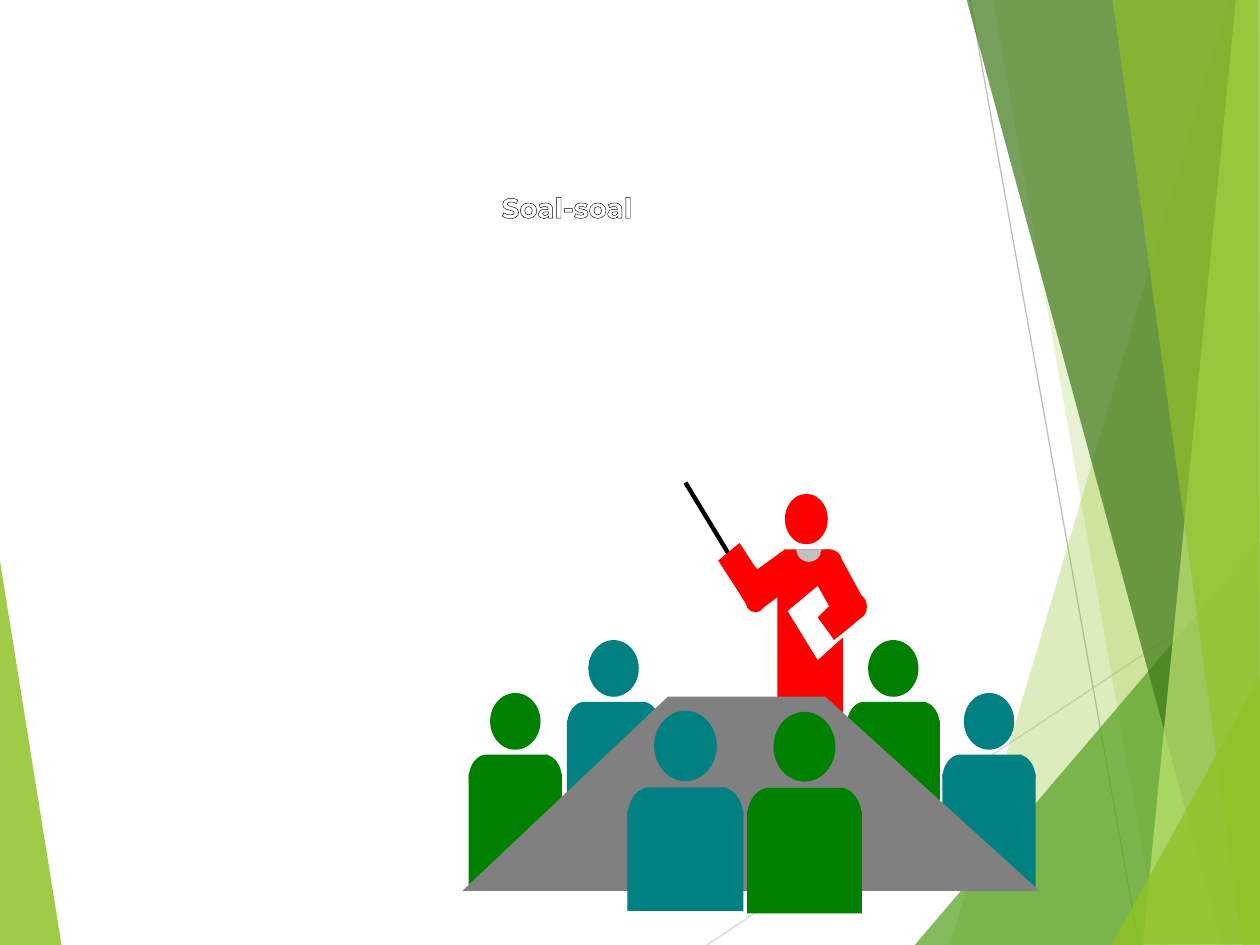
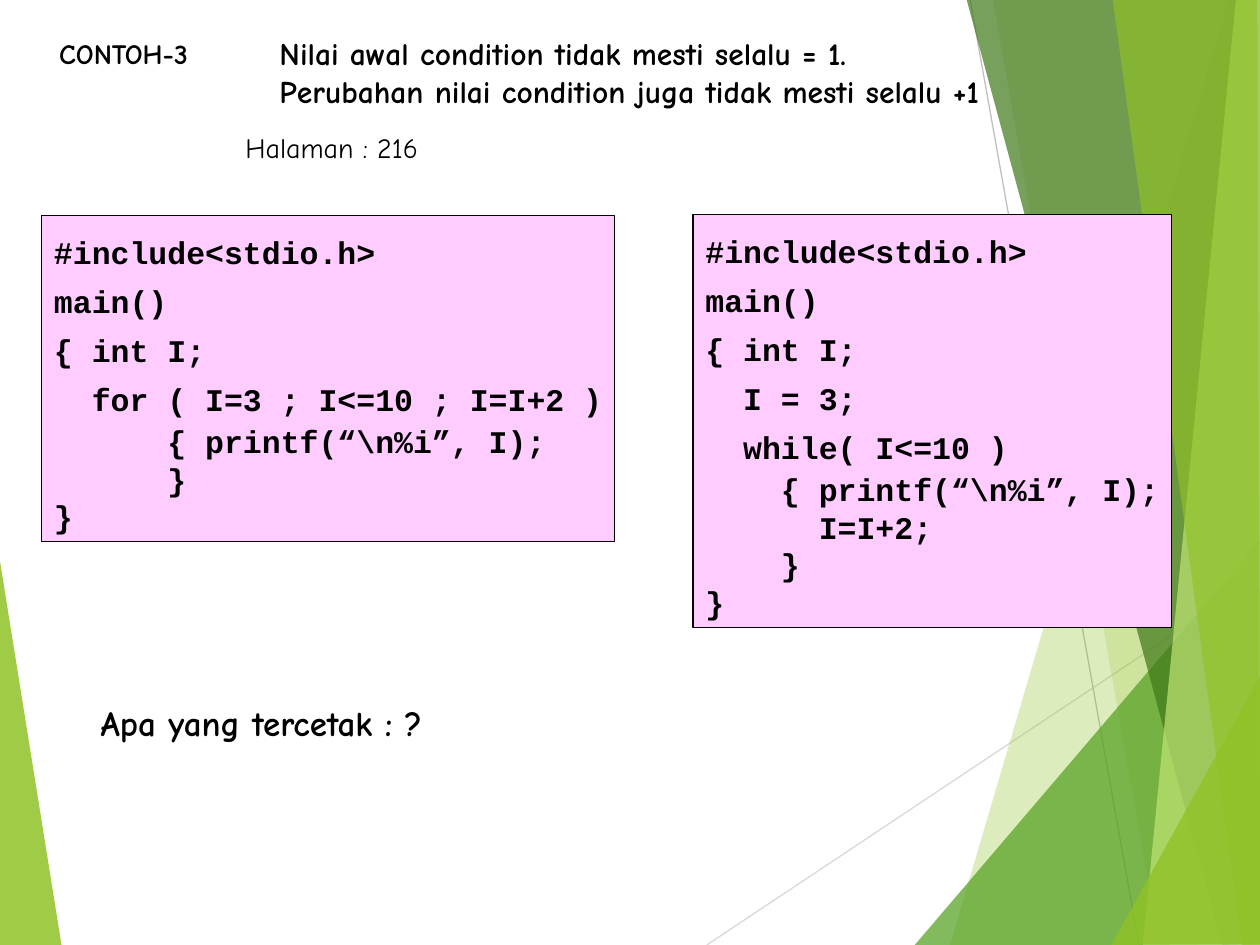
from math import cos, radians, sin

from lxml import etree
from pptx import Presentation
from pptx.dml.color import RGBColor
from pptx.enum.shapes import MSO_CONNECTOR, MSO_SHAPE
from pptx.enum.text import MSO_ANCHOR, MSO_AUTO_SIZE, PP_ALIGN
from pptx.oxml.ns import qn
from pptx.util import Inches, Pt

ELLIPSE, RECTANGLE = MSO_SHAPE.OVAL, MSO_SHAPE.RECTANGLE
STRAIGHT = MSO_CONNECTOR.STRAIGHT
TOP = MSO_ANCHOR.TOP
GROW, FIXED = MSO_AUTO_SIZE.SHAPE_TO_FIT_TEXT, MSO_AUTO_SIZE.NONE
LEFT, CENTER = PP_ALIGN.LEFT, PP_ALIGN.CENTER

COLORS = {
    "black": "000000", "white": "FFFFFF",
    "leaf": "90C226", "grass": "54A021", "forest": "3F7819", "lime": "C0E474",
    "pale_line": "D9D9D9", "mid_line": "BFBFBF",
    "red": "FF0000", "teal": "008080", "green": "008000",
    "table": "808080", "collar": "C0C0C0", "code": "FFCCFF",
}
PROSE_FONT, CODE_FONT, HEADING_FONT = "Comic Neue", "Courier New", "Montserrat"
CODE_SIZE = 18
CODE_CHAR = 0.6 * CODE_SIZE / 72  # width of one Courier character, inches
HAIRLINE = 0.74

# Facets of the backdrop, back to front: colour, opacity in percent, corners
EDGE_FACET = ("leaf", 85, [(-0.01, 4.39), (0.49, 7.51), (-0.01, 7.5)])
RIGHT_FACETS = [
    ("leaf", 30, [(9.75, 0), (7.54, 7.5), (10.02, 7.51), (10.01, 0.01)]),
    ("leaf", 20, [(7.88, -0.01), (9.2, 7.5), (10.01, 7.5), (10.01, -0.01)]),
    ("grass", 72, [(7.26, 7.5), (10, 4.29), (10.01, 7.5)]),
    ("forest", 70, [(7.67, -0.01), (9.7, 7.5), (10.01, 7.49), (10.01, -0.01)]),
    ("lime", 70, [(9.81, -0.01), (9.07, 7.5), (10.01, 7.5), (10, -0.01)]),
    ("leaf", 65, [(8.83, -0.01), (9.86, 7.5), (10, 7.5), (9.98, -0.01)]),
    ("leaf", 80, [(8.82, 7.5), (10.01, 5.35), (10.01, 7.49)]),
]

# Outline of the presenter's robe and arms, from the presenter's corner
ROBE = [
    (1.07, 0.53), (1.14, 0.53), (1.23, 0.59), (1.41, 0.92), (1.41, 1.06),
    (1.28, 1.17), (1.18, 1.25), (1.05, 1.07), (1.1, 1.02), (1.14, 0.98),
    (1.05, 0.82), (0.81, 1.02), (1.05, 1.41), (1.25, 1.23), (1.25, 1.88),
    (0.73, 1.88), (0.73, 0.91), (0.61, 1), (0.5, 1), (0.49, 0.98),
    (0.41, 0.85), (0.26, 0.62), (0.43, 0.48), (0.54, 0.65), (0.57, 0.69),
    (0.79, 0.53),
]

# Audience: colour, box. The first four sit behind the table.
FAR_SEATS = [
    ("teal", (7.48, 5.5, 0.74, 1.57)),
    ("green", (6.72, 5.08, 0.74, 1.56)),
    ("teal", (4.5, 5.08, 0.74, 1.56)),
    ("green", (3.72, 5.5, 0.74, 1.57)),
]
NEAR_SEATS = [
    ("green", (5.93, 5.65, 0.91, 1.6)),
    ("teal", (4.98, 5.64, 0.92, 1.59)),
]

# Code lines: indent in characters, text, line spacing
FOR_CODE = [
    (0, "#include<stdio.h>", 1.3),
    (0, "main()", 1.3),
    (0, "{ int I;", 1.3),
    (2, "for ( I=3 ; I<=10 ; I=I+2 )", 1.3),
    (6, "{ printf(“\\n%i”, I);", 1.1),
    (6, "}", 1.0),
    (0, "}", 1.0),
]
WHILE_CODE = FOR_CODE[:3] + [
    (2, "I = 3;", 1.3),
    (2, "while( I<=10 )", 1.3),
    (4, "{ printf(“\\n%i”, I);", 1.1),
    (6, "I=I+2;", 1.0),
    (4, "}", 1.0),
    (0, "}", 1.0),
]


def rgb(name):
    """Look up a palette colour."""
    return RGBColor.from_string(COLORS[name])


def paint(shape, color, opacity=100):
    """Give a shape a flat fill with no line or shadow."""
    shape.shadow.inherit = False
    shape.line.fill.background()
    shape.fill.solid()
    shape.fill.fore_color.rgb = rgb(color)
    if opacity < 100:
        tint = next(shape.element.iter(qn("a:srgbClr")))
        etree.SubElement(tint, qn("a:alpha"), val=str(opacity * 1000))


def preset(shapes, kind, box, color):
    """Add a flat preset shape in a box given in inches."""
    shape = shapes.add_shape(kind, *map(Inches, box))
    paint(shape, color)
    return shape


def polygon(shapes, corners, color, opacity=100, origin=(0, 0)):
    """Add a flat closed outline whose corners are measured from origin."""
    start, *rest = [(Inches(origin[0] + x), Inches(origin[1] + y)) for x, y in corners]
    builder = shapes.build_freeform(*start)
    builder.add_line_segments(rest, close=True)
    paint(builder.convert_to_shape(), color, opacity)


def arc(center, radii, first, last):
    """Return points along an elliptical arc, clockwise in degrees."""
    steps = 12
    angles = [radians(first + (last - first) * i / steps) for i in range(steps + 1)]
    return [(center[0] + radii[0] * cos(a), center[1] + radii[1] * sin(a)) for a in angles]


def line(shapes, start, end, color, width):
    """Add a straight line without shadow."""
    connector = shapes.add_connector(STRAIGHT, *map(Inches, start + end))
    connector.line.color.rgb = rgb(color)
    connector.line.width = Pt(width)
    properties = connector.element.find(qn("p:spPr"))
    etree.SubElement(properties, qn("a:effectLst"))


def backdrop(slide):
    """Draw the green facets and put them on the layout that slides share."""
    group = slide.shapes.add_group_shape()
    polygon(group.shapes, EDGE_FACET[2], *EDGE_FACET[:2])
    line(group.shapes, (5.61, 7.5), (10.01, 4.57), "pale_line", HAIRLINE)
    line(group.shapes, (7.7, 0), (9.04, 7.5), "mid_line", HAIRLINE)
    for color, opacity, corners in RIGHT_FACETS:
        polygon(group.shapes, corners, color, opacity)
    slide.slide_layout.shapes.element.insert(2, group.element)


def presenter(shapes, left, top):
    """Draw the standing presenter with pointer, from its top left corner."""
    line(shapes, (left + 0.4, top + 0.66), (left, top), "black", 2.49)
    preset(shapes, ELLIPSE, (left + 0.48, top + 0.88, 0.15, 0.15), "red")
    preset(shapes, ELLIPSE, (left + 0.79, top + 0.09, 0.34, 0.4), "red")
    polygon(shapes, ROBE, "red", origin=(left, top))
    preset(shapes, ELLIPSE, (left + 1.3, top + 0.89, 0.14, 0.19), "red")
    collar = arc((0.98, 0.53), (0.1, 0.1), 0, 180)
    polygon(shapes, collar, "collar", origin=(left, top))
    shoulder = arc((1.14, 0.62), (0.1, 0.09), 225, 405)
    polygon(shapes, shoulder, "red", origin=(left, top))


def listener(shapes, box, color):
    """Draw a seated listener scaled to the box width, ending at its bottom."""
    left, top, width, height = box
    scale = width / 0.74
    chest, trunk = 0.49 * scale, 0.64 * scale
    radii = rx, ry = 0.14 * scale, 0.19 * scale
    preset(shapes, ELLIPSE, (left + 0.17 * scale, top, 0.4 * scale, 0.45 * scale), color)
    preset(shapes, RECTANGLE,
           (left + 0.13 * scale, top + chest, 0.5 * scale, 0.23 * scale), color)
    preset(shapes, RECTANGLE, (left, top + trunk, width, height - trunk), color)
    for center_x, first in ((rx, 180), (width - rx, 270)):
        center = (center_x, chest + ry)
        polygon(shapes, arc(center, radii, first, first + 90) + [center], color,
                origin=(left, top))


def meeting(slide):
    """Draw the presenter and the audience around the table."""
    shapes = slide.shapes.add_group_shape().shapes
    presenter(shapes, 5.44, 3.83)
    for color, box in FAR_SEATS:
        listener(shapes, box, color)
    tabletop = [(0, 1.54), (1.63, 0), (2.88, 0), (4.58, 1.54)]
    polygon(shapes, tabletop, "table", origin=(3.67, 5.53))
    for color, box in NEAR_SEATS:
        listener(shapes, box, color)


def write(shape, lines, size, font, bold=True, color="black", align=LEFT):
    """Fill a shape with evenly styled lines and return its paragraphs."""
    frame = shape.text_frame
    frame.text = "\n".join(lines)
    frame.word_wrap = align == CENTER
    frame.auto_size = FIXED if align == CENTER else GROW
    frame.vertical_anchor = TOP
    for paragraph in frame.paragraphs:
        paragraph.alignment = align
        paragraph.font.size = Pt(size)
        paragraph.font.name = font
        paragraph.font.bold = bold
        paragraph.font.color.rgb = rgb(color)
    return frame.paragraphs


def heading(slide, box, text, size, font, **style):
    """Place and format the title placeholder."""
    title = slide.shapes.title
    title.left, title.top, title.width, title.height = map(Inches, box)
    return write(title, [text], size, font, **style)


def note(slide, box, lines, size, bold=True):
    """Add a plain text box."""
    write(slide.shapes.add_textbox(*map(Inches, box)), lines, size, PROSE_FONT, bold)


def code_panel(slide, box, code):
    """Add a framed listing whose lines are indented by whole characters."""
    panel = preset(slide.shapes, RECTANGLE, box, "code")
    panel.line.color.rgb = rgb("black")
    panel.line.width = Pt(HAIRLINE)
    paragraphs = write(panel, [text for _, text, _ in code], CODE_SIZE, CODE_FONT)
    for paragraph, (indent, _, spacing) in zip(paragraphs, code):
        paragraph.line_spacing = spacing
        properties = paragraph._p.get_or_add_pPr()
        properties.set("marL", str(Inches(indent * CODE_CHAR)))
        properties.set("indent", "0")


def outline_text(paragraph, color):
    """Draw a thin contour around the letters of a paragraph."""
    for run in paragraph.runs:
        run.font.color.rgb = rgb("white")
        contour = etree.Element(qn("a:ln"), w=str(Pt(HAIRLINE)))
        fill = etree.SubElement(contour, qn("a:solidFill"))
        etree.SubElement(fill, qn("a:srgbClr"), val=COLORS[color])
        run.font._element.insert(0, contour)


def questions_slide(slide):
    """Build the section slide that opens the exercises."""
    title = heading(slide, (2.5, 1.46, 4, 1.54), "Soal-soal", 16, HEADING_FONT,
                    color="white", align=CENTER)
    outline_text(title[0], "black")
    meeting(slide)


def example_slide(slide):
    """Build the slide that compares a for loop with a while loop."""
    heading(slide, (0.37, 0.24, 1.23, 0.37), "CONTOH-3", 16, PROSE_FONT)
    code_panel(slide, (0.33, 1.71, 4.55, 2.59), FOR_CODE)
    code_panel(slide, (5.5, 1.7, 3.8, 3.28), WHILE_CODE)
    note(slide, (2.12, 0.22, 5.9, 0.7),
         ["Nilai awal condition tidak mesti selalu = 1.",
          "Perubahan nilai condition juga tidak mesti selalu +1"], 18)
    note(slide, (0.7, 5.52, 2.78, 0.44), ["Apa yang tercetak : ?"], 20)
    note(slide, (1.85, 0.99, 1.57, 0.37), ["Halaman : 216"], 16, bold=False)


def main():
    """Build and save the presentation."""
    deck = Presentation()
    deck.slide_width, deck.slide_height = Inches(10), Inches(7.5)
    title_only = deck.slide_layouts[5]
    questions = deck.slides.add_slide(title_only)
    backdrop(questions)
    questions_slide(questions)
    example_slide(deck.slides.add_slide(title_only))
    deck.save("out.pptx")


main()
